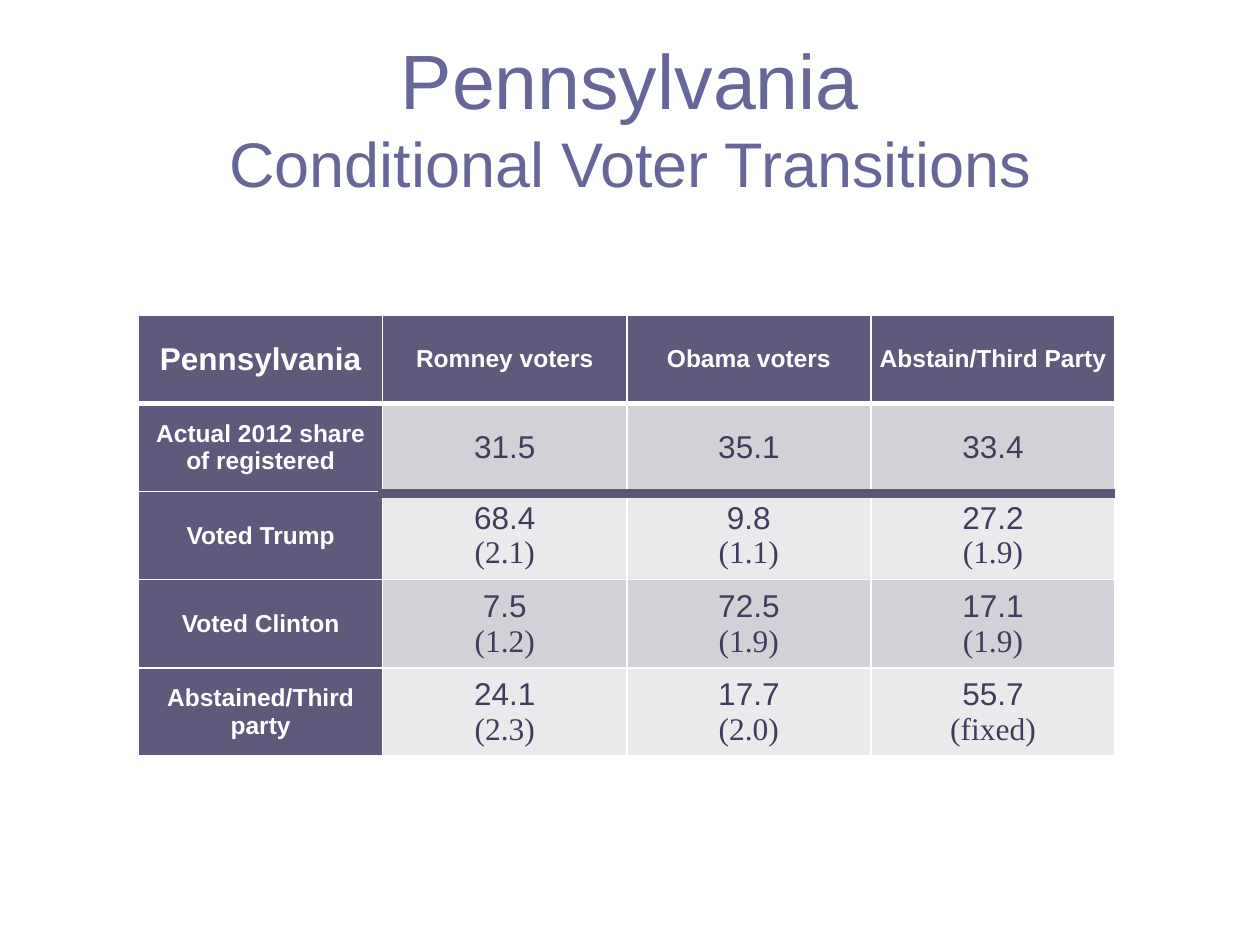
from dataclasses import dataclass

from lxml.etree import SubElement
from pptx import Presentation
from pptx.dml.color import RGBColor
from pptx.enum.shapes import MSO_CONNECTOR
from pptx.enum.text import MSO_ANCHOR, PP_ALIGN
from pptx.oxml import parse_xml
from pptx.oxml.ns import nsdecls, qn
from pptx.util import Pt


@dataclass(frozen=True)
class Theme:
    sans: str = "Arial"
    serif: str = "Times New Roman"
    title_color: str = "666699"
    heading_fill: str = "60597B"
    heading_text: str = "FFFFFF"
    value_text: str = "3E3E5C"
    band_fills: tuple = ("D2D1D7", "EAEAEC")
    border: str = "FFFFFF"
    divider: str = "5D5679"
    title_size: int = 44
    subtitle_size: int = 36
    large_size: int = 18
    label_size: int = 14


THEME = Theme()

COLUMN_WIDTH = 139.5
ROW_HEIGHT = 50.4

# A tuple holds an estimate and the note in brackets below it
ROWS = [
    ["Pennsylvania", "Romney voters", "Obama voters", "Abstain/Third Party"],
    ["Actual 2012 share of registered", ("31.5",), ("35.1",), ("33.4",)],
    ["Voted Trump", ("68.4", "(2.1)"), ("9.8", "(1.1)"), ("27.2", "(1.9)")],
    ["Voted Clinton", ("7.5", "(1.2)"), ("72.5", "(1.9)"), ("17.1", "(1.9)")],
    ["Abstained/Third party", ("24.1", "(2.3)"), ("17.7", "(2.0)"), ("55.7", "(fixed)")],
]


def add_run(paragraph, text, size, color, name=THEME.sans, bold=False):
    run = paragraph.add_run()
    run.text = text
    for attribute, value in {"name": name, "size": Pt(size), "bold": bold}.items():
        setattr(run.font, attribute, value)
    run.font.color.rgb = RGBColor.from_string(color)


def add_title(slide, title, subtitle):
    shape = slide.shapes.title
    box = {"left": 36, "top": 21.6, "width": 648, "height": 90}
    for attribute, value in box.items():
        setattr(shape, attribute, Pt(value))
    frame = shape.text_frame
    frame.vertical_anchor = MSO_ANCHOR.MIDDLE
    frame.word_wrap = True
    paragraph = frame.paragraphs[0]
    paragraph.alignment = PP_ALIGN.CENTER
    add_run(paragraph, title, THEME.title_size, THEME.title_color)
    paragraph.add_line_break()
    add_run(paragraph, subtitle, THEME.subtitle_size, THEME.title_color)


def set_borders(cell, widths):
    properties = cell._tc.get_or_add_tcPr()
    # Border lines come before the fill in the cell properties
    for index, (side, width) in enumerate(widths.items()):
        properties.insert(index, parse_xml(
            f'<a:{side} {nsdecls("a")} w="{Pt(width)}"><a:solidFill>'
            f'<a:srgbClr val="{THEME.border}"/></a:solidFill></a:{side}>'))


def fill_cell(cell, content, row, column):
    is_heading = isinstance(content, str)
    margins = {"margin_left": 5, "margin_right": 5, "margin_top": 0, "margin_bottom": 0}
    for attribute, value in margins.items():
        setattr(cell, attribute, Pt(value))
    cell.vertical_anchor = MSO_ANCHOR.MIDDLE
    fill = THEME.heading_fill if is_heading else THEME.band_fills[(row - 1) % 2]
    cell.fill.solid()
    cell.fill.fore_color.rgb = RGBColor.from_string(fill)
    set_borders(cell, {"lnL": 1, "lnR": 1, "lnT": 3 if row == 1 else 1,
                       "lnB": 3 if row == 0 else 1})

    frame = cell.text_frame
    for index, text in enumerate([content] if is_heading else content):
        paragraph = frame.add_paragraph() if index else frame.paragraphs[0]
        paragraph.alignment = PP_ALIGN.CENTER
        if is_heading:
            size = THEME.large_size if row == column == 0 else THEME.label_size
            add_run(paragraph, text, size, THEME.heading_text, bold=True)
        else:
            name = THEME.serif if index else THEME.sans
            add_run(paragraph, text, THEME.large_size, THEME.value_text, name)


def add_transition_table(slide, rows, left, top):
    row_count, column_count = len(rows), len(rows[0])
    table = slide.shapes.add_table(
        row_count, column_count, Pt(left), Pt(top),
        Pt(column_count * COLUMN_WIDTH), Pt(row_count * ROW_HEIGHT)).table
    for column in table.columns:
        column.width = Pt(COLUMN_WIDTH)
    for row_index, row in enumerate(rows):
        table.rows[row_index].height = Pt(ROW_HEIGHT)
        for column_index, content in enumerate(row):
            fill_cell(table.cell(row_index, column_index), content, row_index, column_index)


def add_divider(slide, left, right, top, width):
    connector = slide.shapes.add_connector(
        MSO_CONNECTOR.STRAIGHT, Pt(left), Pt(top), Pt(right), Pt(top))
    connector.line.color.rgb = RGBColor.from_string(THEME.divider)
    connector.line.width = Pt(width)
    SubElement(connector._element.spPr, qn("a:effectLst"))


def main():
    presentation = Presentation()
    presentation.slide_width = Pt(720)
    presentation.slide_height = Pt(540)
    slide = presentation.slides.add_slide(presentation.slide_layouts[5])

    # Heading
    add_title(slide, "Pennsylvania", "Conditional Voter Transitions")

    # Voter shares, with a divider below the actual 2012 shares
    add_transition_table(slide, ROWS, left=79.2, top=180)
    add_divider(slide, left=216, right=637.2, top=282, width=5)

    presentation.save("out.pptx")


if __name__ == "__main__":
    main()
